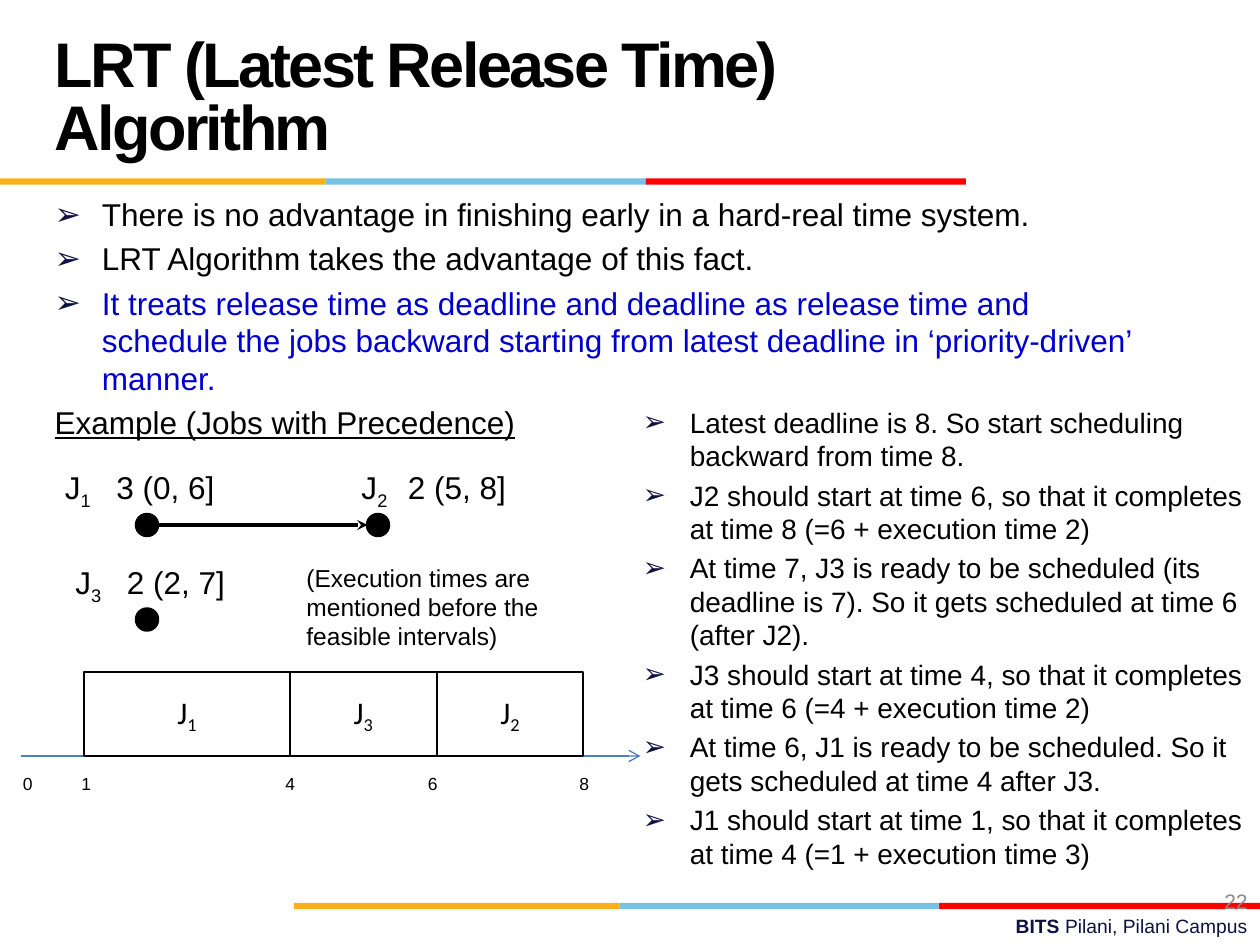
from dataclasses import dataclass

import pptx
import pptx.dml.color
import pptx.enum.dml
import pptx.enum.shapes
import pptx.enum.text
import pptx.oxml.ns
import pptx.util
from lxml import etree

Pt = pptx.util.Pt
Align = pptx.enum.text.PP_ALIGN
Anchor = pptx.enum.text.MSO_ANCHOR
Shape = pptx.enum.shapes.MSO_SHAPE
BLACK, NAVY, BLUE = "000000", "101141", "0000CC"
STRIPE_COLORS = ("FCB017", "76C2E5", "FF0000")
HANGING = 27


@dataclass
class Bullet:
    text: str
    color: str = BLACK
    marker: bool = True


@dataclass
class Job:
    number: str
    interval: str
    left: float
    top: float
    tab: float
    dot_left: float


@dataclass
class Slot:
    number: str
    start: int
    end: int


def rgb(value: str):
    return pptx.dml.color.RGBColor.from_string(value)


def add_element(parent, tag: str, **attributes):
    return etree.SubElement(parent, pptx.oxml.ns.qn(tag), attributes)


def set_font(paragraph, size: float, color: str = BLACK, name: str = "Arial"):
    font = paragraph.font
    font.size, font.name = Pt(size), name
    font.color.rgb = rgb(color)
    return font


def place(shape, left, top, width, height):
    shape.left, shape.top = Pt(left), Pt(top)
    shape.width, shape.height = Pt(width), Pt(height)


def add_text(slide, text, left, top, width, height, size, color=BLACK, wrap=False):
    box = slide.shapes.add_textbox(Pt(left), Pt(top), Pt(width), Pt(height))
    box.text_frame.word_wrap = wrap
    box.text_frame.text = text
    for paragraph in box.text_frame.paragraphs:
        set_font(paragraph, size, color)
    return box.text_frame


def add_block(slide, kind, left, top, width, height, fill=None, line=None, weight=1.0):
    block = slide.shapes.add_shape(kind, Pt(left), Pt(top), Pt(width), Pt(height))
    block.shadow.inherit = False
    if fill:
        block.fill.solid()
        block.fill.fore_color.rgb = rgb(fill)
    else:
        block.fill.background()
    if line:
        block.line.color.rgb = rgb(line)
        block.line.width = Pt(weight)
    else:
        block.line.fill.background()
    return block


def add_arrow(slide, start, end, y, color, weight, tail, head=None):
    arrow = slide.shapes.add_connector(
        pptx.enum.shapes.MSO_CONNECTOR.STRAIGHT, Pt(start), Pt(y), Pt(end), Pt(y))
    arrow.line.color.rgb = rgb(color)
    arrow.line.width = Pt(weight)
    outline = arrow.line._get_or_add_ln()
    if head:
        add_element(outline, "a:headEnd", type=head)
    add_element(outline, "a:tailEnd", type=tail)
    add_element(arrow._element.spPr, "a:effectLst")


def add_job_name(paragraph, number: str):
    paragraph.add_run().text = "J"
    subscript = paragraph.add_run()
    subscript.text = number
    subscript._r.get_or_add_rPr().set("baseline", "-25000")


def add_job(slide, job: Job):
    paragraph = add_text(slide, "", job.left, job.top, 114, 29, 18).paragraphs[0]
    properties = paragraph._p.get_or_add_pPr()
    tabs = etree.Element(pptx.oxml.ns.qn("a:tabLst"))
    add_element(tabs, "a:tab", pos=str(Pt(job.tab)), algn="l")
    properties.insert(0, tabs)
    add_job_name(paragraph, job.number)
    paragraph.add_run().text = f"\t{job.interval}"
    add_block(slide, Shape.OVAL, job.dot_left, job.top + 30, 12, 12, BLACK, BLACK, 2)


def add_slot(slide, slot: Slot, edges: dict[int, float]):
    left = edges[slot.start]
    block = add_block(slide, Shape.RECTANGLE, left, 384, edges[slot.end] - left, 48, line=BLACK)
    block.text_frame.vertical_anchor = Anchor.MIDDLE
    paragraph = block.text_frame.paragraphs[0]
    paragraph.alignment = Align.CENTER
    set_font(paragraph, 18, name="Calibri")
    add_job_name(paragraph, slot.number)


def add_stripe(slide, top: float, edges: tuple[float, ...]):
    for color, left, right in zip(STRIPE_COLORS, edges, edges[1:]):
        add_block(slide, Shape.RECTANGLE, left, top, right - left, 3.6, color)


def fill_list(placeholder, bullets: list[Bullet], size: float):
    frame = placeholder.text_frame
    frame.auto_size = pptx.enum.text.MSO_AUTO_SIZE.NONE
    frame.text = "\n".join(bullet.text for bullet in bullets)
    for index, (paragraph, bullet) in enumerate(zip(frame.paragraphs, bullets)):
        properties = paragraph._p.get_or_add_pPr()
        properties.set("marL", str(Pt(HANGING)))
        properties.set("indent", str(-Pt(HANGING)))
        if bullet.marker:
            add_element(add_element(properties, "a:buClr"), "a:srgbClr", val=NAVY)
            add_element(properties, "a:buChar", char="➢")
        else:
            add_element(properties, "a:buNone")
        paragraph.space_before = Pt(0.2 * size if index else 0)
        set_font(paragraph, size, bullet.color).underline = not bullet.marker


def main():
    deck = pptx.Presentation()
    deck.slide_width, deck.slide_height = Pt(720), Pt(540)
    slide = deck.slides.add_slide(deck.slide_layouts[3])
    title, principles, walkthrough = slide.placeholders

    add_stripe(slide, 516, (168, 354, 536.5, 720))
    add_stripe(slide, 102, (0, 186, 369, 552))
    campus = add_text(slide, "", 258, 519, 462, 21, 11, NAVY, True).paragraphs[0]
    campus.alignment = Align.RIGHT
    for text, bold in (("BITS ", True), ("Pilani, Pilani Campus", False)):
        run = campus.add_run()
        run.text, run.font.bold = text, bold
    page = add_text(slide, "22", 552, 500.5, 168, 29, 12, "8C8C8C", True)
    page.vertical_anchor = Anchor.MIDDLE
    page.paragraphs[0].alignment = Align.RIGHT

    place(title, 24, 12, 498, 90)
    title.text_frame.text = "LRT (Latest Release Time) Algorithm"
    title.text_frame.auto_size = pptx.enum.text.MSO_AUTO_SIZE.NONE
    title.text_frame.vertical_anchor = Anchor.MIDDLE
    heading = title.text_frame.paragraphs[0]
    heading.alignment, heading.line_spacing = Align.LEFT, Pt(36)
    set_font(heading, 36).bold = True
    heading.runs[0]._r.get_or_add_rPr().set("spc", "-150")

    place(principles, 24, 108, 648, 132)
    fill_list(principles, [
        Bullet("There is no advantage in finishing early in a hard-real time system."),
        Bullet("LRT Algorithm takes the advantage of this fact."),
        Bullet("It treats release time as deadline and deadline as release time and schedule "
               "the jobs backward starting from latest deadline in ‘priority-driven’ manner.", BLUE),
        Bullet("Example (Jobs with Precedence)", marker=False),
    ], 18)
    place(walkthrough, 360, 228, 360, 264)
    fill_list(walkthrough, [
        Bullet("Latest deadline is 8. So start scheduling backward from time 8."),
        Bullet("J2 should start at time 6, so that it completes at time 8 (=6 + execution time 2)"),
        Bullet("At time 7, J3 is ready to be scheduled (its deadline is 7). "
               "So it gets scheduled at time 6 (after J2)."),
        Bullet("J3 should start at time 4, so that it completes at time 6 (=4 + execution time 2)"),
        Bullet("At time 6, J1 is ready to be scheduled. So it gets scheduled at time 4 after J3."),
        Bullet("J1 should start at time 1, so that it completes at time 4 (=1 + execution time 3)"),
    ], 16)

    add_arrow(slide, 84, 210, 300, BLACK, 2, "stealth", "oval")
    for job in (Job("1", "3 (0, 6]", 30, 264, 29.5, 78),
                Job("2", "2 (5, 8]", 199.5, 264, 26.5, 210),
                Job("3", "2 (2, 7]", 36, 318, 29.5, 78)):
        add_job(slide, job)
    add_text(slide, "(Execution times are\nmentioned before the\nfeasible intervals)",
             168, 318, 151, 58, 14)

    edges = {1: 48, 4: 165.75, 6: 249.5, 8: 333.25}
    add_arrow(slide, 12, 366, 432, "4B7EBC", 0.75, "arrow")
    for slot in (Slot("1", 1, 4), Slot("3", 4, 6), Slot("2", 6, 8)):
        add_slot(slide, slot, edges)
    for time, left in {0: 6, 1: 39.5, 4: 156, 6: 237.5, 8: 324}.items():
        add_text(slide, str(time), left, 438, 20, 19.5, 10)

    deck.save("out.pptx")


if __name__ == "__main__":
    main()
